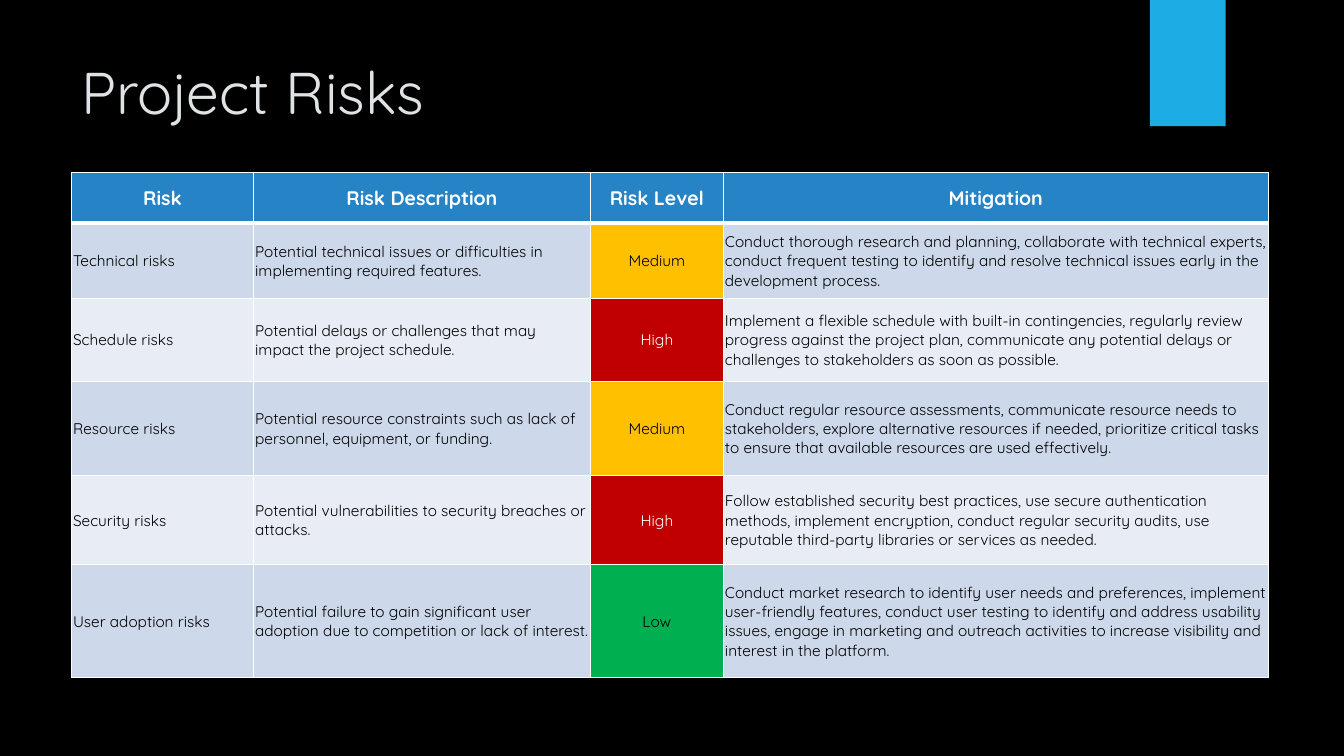
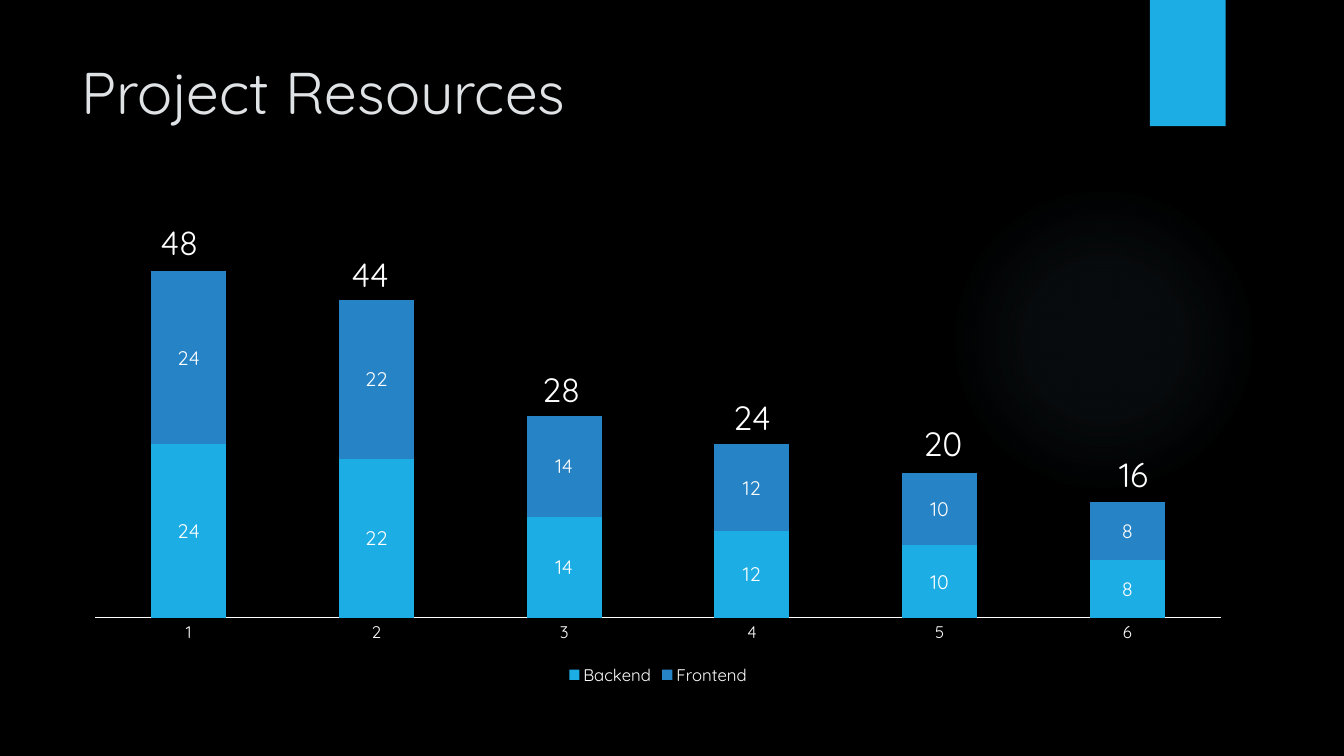
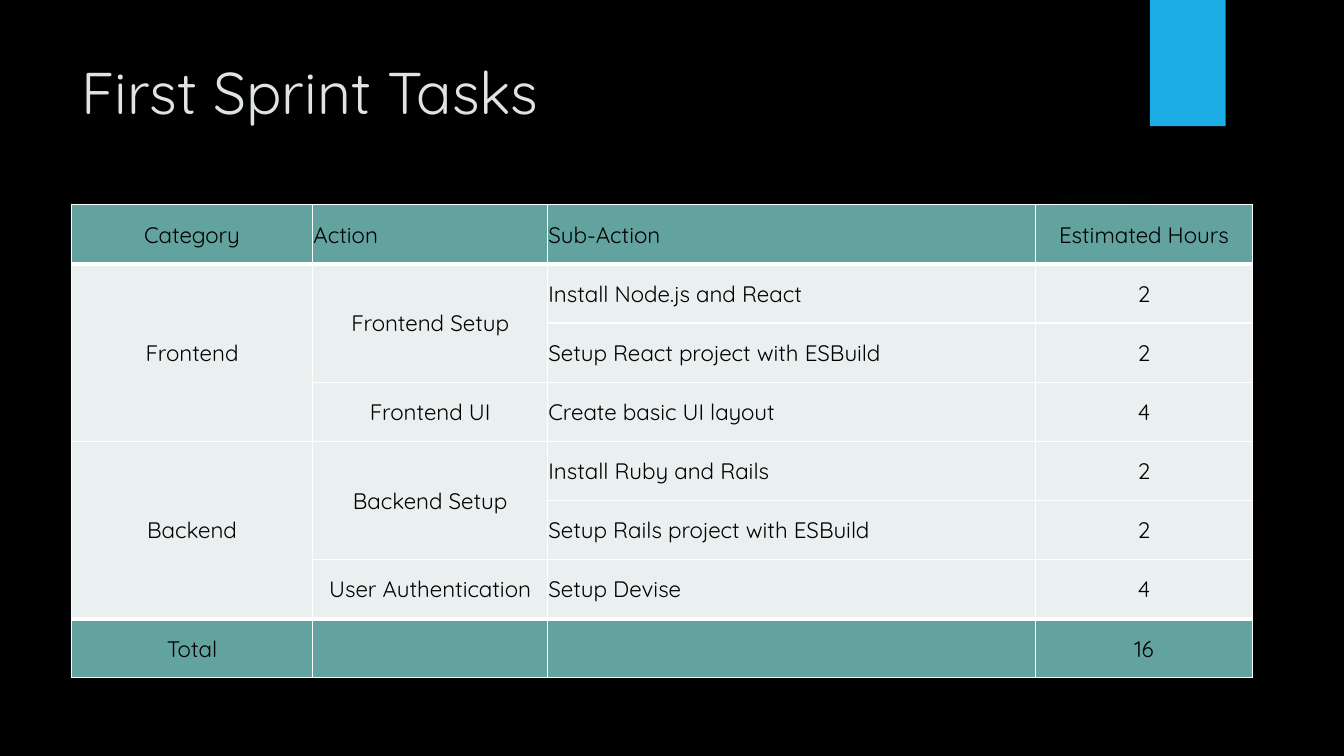
from dataclasses import dataclass, field

from pptx import Presentation, dml, oxml, slide as sl, table as tb, util as u
from pptx.chart import data as cd
from pptx.dml import color as dc
from pptx.enum import chart as ec, dml as ed, shapes as es, text as et
from pptx.oxml import ns

Cm, Pt = u.Cm, u.Pt

# Shared look
FONT = "Quicksand"
COLORS = {
    "black": "000000", "white": "FFFFFF", "title": "DFE3E5",
    "cyan": "1CADE4", "blue": "2683C6", "glow": "70A1C0",
    "band_dark": "CDD9EA", "band_light": "E8EDF5",
    "amber": "FFC000", "red": "C00000", "green": "00B050",
    "teal": "62A39F", "mist": "EAF0F0",
}
LEVELS = {"Low": ("green", "black"), "Medium": ("amber", "black"), "High": ("red", "white")}
ALIGN = {"l": et.PP_ALIGN.LEFT, "c": et.PP_ALIGN.CENTER}


@dataclass
class Grid:
    """A table; None in a row continues the cell above."""
    left: float
    top: float
    cols: list[float]
    heights: list[float]
    rows: list[list[str | None]]
    head_align: str
    body_align: str
    head_fill: str
    body_fills: list[str]
    insets: tuple[float, float, float, float]
    size: int
    head_size: int
    head_color: str = "black"
    head_bold: bool = False
    has_total: bool = False


@dataclass
class Bars:
    series: dict[str, list[int]]
    fills: list[str]
    total_tops: list[float] = field(default_factory=list)


def rgb(name: str) -> dc.RGBColor:
    return dc.RGBColor.from_string(COLORS[name])


def set_font(font, size: float, color: str, bold: bool = False) -> None:
    font.name, font.size, font.bold = FONT, Pt(size), bold
    font.color.rgb = rgb(color)


def add_text(s: sl.Slide, value: str, box: tuple, size: float, color: str,
             align: str = "l", anchor=et.MSO_ANCHOR.TOP) -> None:
    tf = s.shapes.add_textbox(*map(Cm, box)).text_frame
    tf.word_wrap, tf.vertical_anchor = True, anchor
    p = tf.paragraphs[0]
    p.text, p.alignment = value, ALIGN[align]
    set_font(p.font, size, color)


def add_plain(s: sl.Slide, kind: es.MSO_SHAPE, box: tuple):
    sp = s.shapes.add_shape(kind, *map(Cm, box))
    sp.shadow.inherit = False
    sp.line.fill.background()
    return sp


def add_slide(prs, title: str) -> sl.Slide:
    s = prs.slides.add_slide(prs.slide_layouts[6])
    # Soft glow, fading outwards
    glow = add_plain(s, es.MSO_SHAPE.OVAL, (23.9, 4.65, 7.82, 7.82))
    stops = "".join(
        f'<a:gs pos="{pos}000"><a:srgbClr val="{COLORS["glow"]}">'
        f'<a:alpha val="{alpha}000"/></a:srgbClr></a:gs>'
        for pos, alpha in ((0, 7), (36, 6), (69, 0)))
    fill = oxml.parse_xml(
        f'<a:gradFill {ns.nsdecls("a")}><a:gsLst>{stops}</a:gsLst><a:path path="circle">'
        '<a:fillToRect l="50000" t="50000" r="50000" b="50000"/></a:path></a:gradFill>')
    glow.element.spPr.find(ns.qn("a:prstGeom")).addnext(fill)
    # Corner tab and title
    tab = add_plain(s, es.MSO_SHAPE.RECTANGLE, (28.98, 0, 1.91, 3.18))
    tab.fill.solid()
    tab.fill.fore_color.rgb = rgb("cyan")
    add_text(s, title, (1.8, 1.27, 26.14, 3.89), 42, "title")
    return s


def set_borders(cell: tb._Cell, top: int, bottom: int) -> None:
    tc_pr = cell._tc.get_or_add_tcPr()
    for i, (side, width) in enumerate((("L", 1), ("R", 1), ("T", top), ("B", bottom))):
        tc_pr.insert(i, oxml.parse_xml(
            f'<a:ln{side} {ns.nsdecls("a")} w="{Pt(width)}"><a:solidFill>'
            f'<a:srgbClr val="{COLORS["white"]}"/></a:solidFill></a:ln{side}>'))


def add_grid(s: sl.Slide, g: Grid) -> None:
    last = len(g.rows) - 1
    heavy = {0, last - 1} if g.has_total else {0}  # rows with a thick line below
    t = s.shapes.add_table(len(g.rows), len(g.cols), Cm(g.left), Cm(g.top),
                           Cm(sum(g.cols)), Cm(sum(g.heights))).table
    t.first_row = t.horz_banding = False
    for column, width in zip(t.columns, g.cols):
        column.width = Cm(width)
    for r, row in enumerate(g.rows):
        t.rows[r].height = Cm(g.heights[r])
        is_head = r == 0
        strong = is_head or (g.has_total and r == last)
        row_fill = g.head_fill if strong else g.body_fills[(r - 1) % len(g.body_fills)]
        for c, value in enumerate(row):
            cell = t.cell(r, c)
            fill, color = LEVELS.get(value, (row_fill, g.head_color if is_head else "black"))
            cell.fill.solid()
            cell.fill.fore_color.rgb = rgb(fill)
            set_borders(cell, *(3 if edge in heavy else 1 for edge in (r - 1, r)))
            cell.vertical_anchor = et.MSO_ANCHOR.MIDDLE
            (cell.margin_left, cell.margin_top,
             cell.margin_right, cell.margin_bottom) = map(Cm, g.insets)
            p = cell.text_frame.paragraphs[0]
            p.text = value or ""
            p.alignment = ALIGN[(g.head_align if is_head else g.body_align)[c]]
            set_font(p.font, g.head_size if is_head else g.size, color, is_head and g.head_bold)
    # Join each cell with the None cells under it
    for c in range(len(g.cols)):
        for r in range(len(g.rows)):
            end = r
            while end < last and g.rows[end + 1][c] is None:
                end += 1
            if g.rows[r][c] is not None and end > r:
                t.cell(r, c).merge(t.cell(end, c))


def add_bars(s: sl.Slide, b: Bars) -> None:
    totals = [sum(values) for values in zip(*b.series.values())]
    data = cd.CategoryChartData()
    data.categories = [str(i + 1) for i in range(len(totals))]
    for name, values in b.series.items():
        data.add_series(name, values)
    ch = s.shapes.add_chart(ec.XL_CHART_TYPE.COLUMN_STACKED, Cm(1.8), Cm(4.39),
                            Cm(29.57), Cm(12.98), data).chart
    set_font(ch.font, 12, "white")
    ch.has_title = False
    ch.has_legend = True
    ch.legend.position = ec.XL_LEGEND_POSITION.BOTTOM
    ch.legend.include_in_layout = False
    set_font(ch.legend.font, 12, "white")
    # Axes
    value_axis, cat_axis = ch.value_axis, ch.category_axis
    value_axis.visible = value_axis.has_major_gridlines = False
    value_axis.minimum_scale, value_axis.maximum_scale = 0, 60
    cat_axis.major_tick_mark = ec.XL_TICK_MARK.NONE
    cat_axis.format.line.width = Pt(0.75)
    cat_axis.format.line.color.rgb = rgb("white")
    set_font(cat_axis.tick_labels.font, 12, "white")
    # Columns
    plot = ch.plots[0]
    plot.gap_width, plot.overlap, plot.vary_by_categories = 150, 100, False
    for series, fill in zip(plot.series, b.fills):
        series.format.fill.solid()
        series.format.fill.fore_color.rgb = rgb(fill)
        labels = series.data_labels
        labels.show_value = True
        labels.position = ec.XL_LABEL_POSITION.CENTER
        set_font(labels.font, 14, "white")
    # Totals over the columns
    for i, (total, top) in enumerate(zip(totals, b.total_tops)):
        add_text(s, str(total), (3.58 + 4.81 * i, top, 1.88, 1.27), 24, "white",
                 "c", et.MSO_ANCHOR.MIDDLE)


RISKS = Grid(
    left=1.8, top=4.34, cols=[4.59, 8.49, 3.35, 13.73],
    heights=[1.28, 1.91, 2.08, 2.38, 2.24, 2.85],
    head_align="cccc", body_align="llcl", head_fill="blue",
    body_fills=["band_dark", "band_light"], insets=(0.04, 0.03, 0.04, 0.03),
    size=11, head_size=14, head_color="white", head_bold=True,
    rows=[
        ["Risk", "Risk Description", "Risk Level", "Mitigation"],
        ["Technical risks",
         "Potential technical issues or difficulties in implementing required features.",
         "Medium",
         "Conduct thorough research and planning, collaborate with technical experts, conduct "
         "frequent testing to identify and resolve technical issues early in the development "
         "process."],
        ["Schedule risks",
         "Potential delays or challenges that may impact the project schedule.",
         "High",
         "Implement a flexible schedule with built-in contingencies, regularly review progress "
         "against the project plan, communicate any potential delays or challenges to "
         "stakeholders as soon as possible."],
        ["Resource risks",
         "Potential resource constraints such as lack of personnel, equipment, or funding.",
         "Medium",
         "Conduct regular resource assessments, communicate resource needs to stakeholders, "
         "explore alternative resources if needed, prioritize critical tasks to ensure that "
         "available resources are used effectively."],
        ["Security risks",
         "Potential vulnerabilities to security breaches or attacks.",
         "High",
         "Follow established security best practices, use secure authentication methods, "
         "implement encryption, conduct regular security audits, use reputable third-party "
         "libraries or services as needed."],
        ["User adoption risks",
         "Potential failure to gain significant user adoption due to competition or lack of "
         "interest.",
         "Low",
         "Conduct market research to identify user needs and preferences, implement "
         "user-friendly features, conduct user testing to identify and address usability "
         "issues, engage in marketing and outreach activities to increase visibility and "
         "interest in the platform."],
    ])

HOURS = [24, 22, 14, 12, 10, 8]
RESOURCES = Bars({"Backend": HOURS, "Frontend": HOURS}, ["cyan", "blue"],
                 [5.46, 6.27, 9.17, 9.88, 10.54, 11.3])

TASKS = Grid(
    left=1.8, top=5.16, cols=[6.08, 5.92, 12.3, 5.46], heights=[1.49] * 8,
    head_align="cllc", body_align="cclc", head_fill="teal", body_fills=["mist"],
    insets=(0.02, 0.02, 0.02, 0), size=16, head_size=16, has_total=True,
    rows=[
        ["Category", "Action", "Sub-Action", "Estimated Hours"],
        ["Frontend", "Frontend Setup", "Install Node.js and React", "2"],
        [None, None, "Setup React project with ESBuild", "2"],
        [None, "Frontend UI", "Create basic UI layout", "4"],
        ["Backend", "Backend Setup", "Install Ruby and Rails", "2"],
        [None, None, "Setup Rails project with ESBuild", "2"],
        [None, "User Authentication", "Setup Devise", "4"],
        ["Total", "", "", "16"],
    ])


def main() -> None:
    prs = Presentation()
    prs.slide_width, prs.slide_height = Cm(33.87), Cm(19.05)
    background = prs.slide_master.background.fill
    background.solid()
    background.fore_color.rgb = rgb("black")
    add_grid(add_slide(prs, "Project Risks"), RISKS)
    add_bars(add_slide(prs, "Project Resources"), RESOURCES)
    add_grid(add_slide(prs, "First Sprint Tasks"), TASKS)
    prs.save("out.pptx")


if __name__ == "__main__":
    main()
